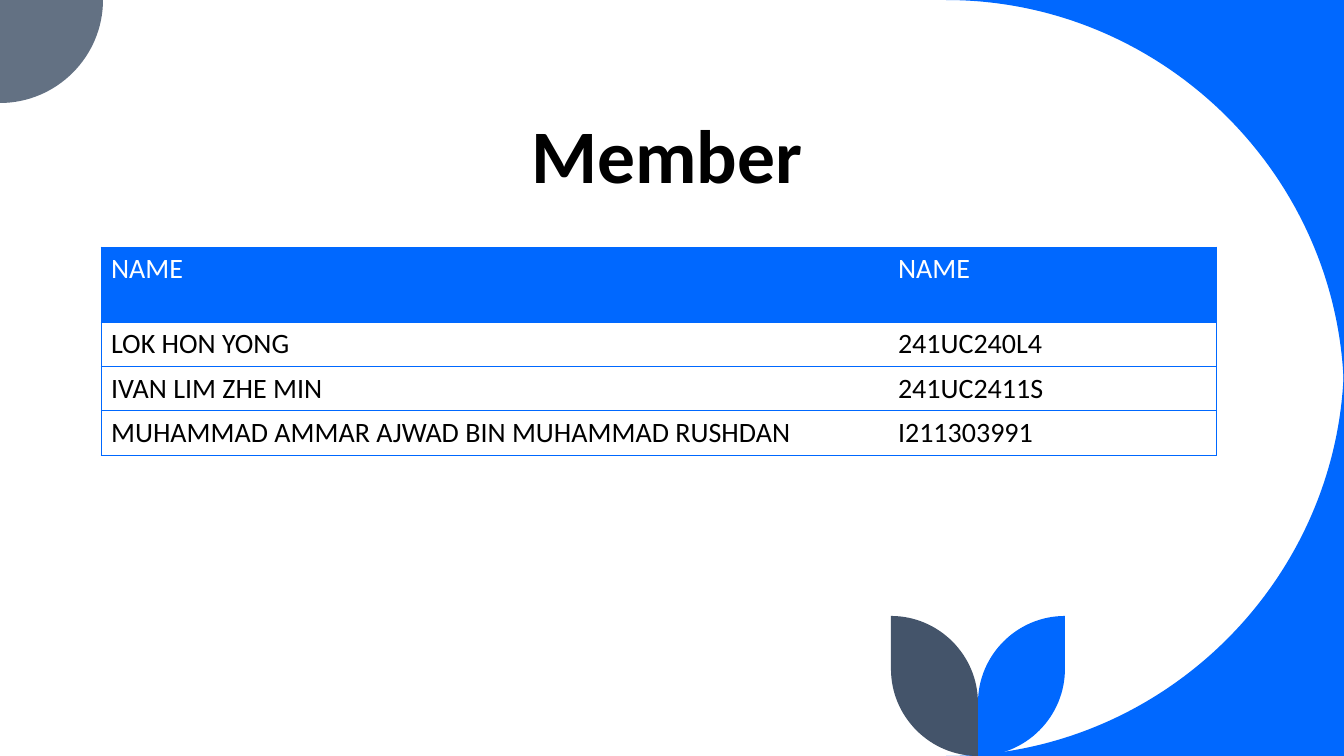
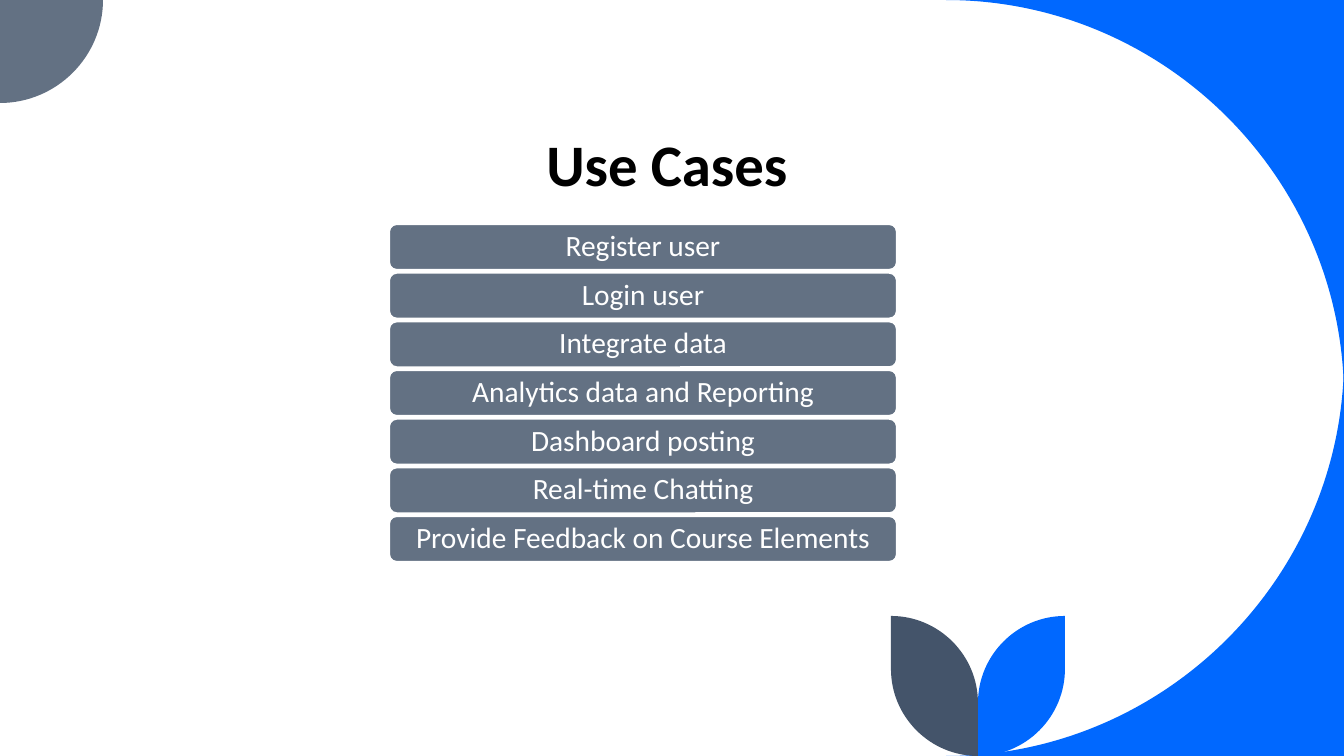
from typing import NamedTuple

from lxml.etree import SubElement
from pptx import Presentation
from pptx.dml.color import RGBColor
from pptx.enum.shapes import MSO_SHAPE
from pptx.enum.text import MSO_ANCHOR, MSO_AUTO_SIZE, PP_ALIGN
from pptx.oxml.ns import qn
from pptx.util import Emu, Pt

# Shared look
BLUE = RGBColor(0x00, 0x68, 0xFF)
GREY = RGBColor(0x63, 0x71, 0x83)
SLATE = RGBColor(0x44, 0x54, 0x6A)
BLACK = RGBColor(0x00, 0x00, 0x00)
WHITE = RGBColor(0xFF, 0xFF, 0xFF)
FONT = "Calibri"
SLIDE_W, SLIDE_H = 1344, 756
TITLE_ONLY = 5
NO_STYLE_NO_GRID = "{2D5ABB26-0587-4C30-8999-92F81FD0307C}"
QUARTER_CIRCLE = 0.55  # control point distance as a share of the radius


class Box(NamedTuple):
    x: int
    y: int
    w: int
    h: int


class Step(NamedTuple):
    """A line to (x, y), or a quarter circle when its corner is given."""
    x: int
    y: int
    corner: tuple[int, int] | None = None


class Decoration(NamedTuple):
    steps: list[Step]
    color: RGBColor


# Slide content
TITLE_BOX = Box(128, 11, 1078, 192)

MEMBER_BOX = Box(101, 247, 1115, 207)
MEMBER_COLS = (787, 328)
MEMBER_ROWS = (75, 44, 44, 44)
MEMBERS = [
    ("NAME", "NAME"),
    ("LOK HON YONG", "241UC240L4"),
    ("IVAN LIM ZHE MIN", "241UC2411S"),
    ("MUHAMMAD AMMAR AJWAD BIN MUHAMMAD RUSHDAN", "I211303991"),
]

FIRST_CASE = Box(389, 224, 508, 46)
LAST_CASE_Y = 516
USE_CASES = [
    "Register user",
    "Login user",
    "Integrate data",
    "Analytics data and Reporting",
    "Dashboard posting",
    "Real-time Chatting",
    "Provide Feedback on Course Elements",
]


def px(n: float) -> Emu:
    return Emu(round(n * 12192000 / SLIDE_W))


def wedge(x: int, y: int, dx: int, dy: int, color: RGBColor) -> Decoration:
    """A slide corner cut off by a quarter circle that curves round it."""
    return Decoration([Step(x, y), Step(x + dx, y), Step(x, y + dy, (x, y))], color)


def leaf(stem: int, top: int, w: int, color: RGBColor) -> Decoration:
    """A leaf on the slide's bottom edge; a negative width points it left."""
    tip, r = stem + w, abs(w)
    return Decoration([
        Step(tip, top),
        Step(tip, SLIDE_H - r),
        Step(stem, SLIDE_H, (tip, SLIDE_H)),
        Step(stem, top + r),
        Step(tip, top, (stem, top)),
    ], color)


DECORATIONS = [
    wedge(SLIDE_W, 0, -398, 398, BLUE),
    wedge(SLIDE_W, SLIDE_H, -398, -398, BLUE),
    Decoration([Step(0, 0), Step(103, 0), Step(0, 103, (103, 103))], GREY),
    leaf(978, 616, 87, BLUE),
    leaf(978, 616, -87, SLATE),
]


def toward(start: Step, corner: tuple[int, int]) -> tuple[float, float]:
    return (start.x + (corner[0] - start.x) * QUARTER_CIRCLE,
            start.y + (corner[1] - start.y) * QUARTER_CIRCLE)


def add_decoration(slide, item: Decoration):
    # Lay out every point first, then join control points into curves
    first, *rest = item.steps
    points = []
    for prev, step in zip(item.steps, rest):
        if step.corner:
            points += [toward(prev, step.corner), toward(step, step.corner)]
        points.append((step.x, step.y))
    builder = slide.shapes.build_freeform(px(first.x), px(first.y), scale=1.0)
    builder.add_line_segments([(px(x), px(y)) for x, y in points], close=True)
    sp = builder.convert_to_shape()
    lines = iter(list(sp._element.iter(qn("a:lnTo"))))
    for step in rest:
        line = next(lines)
        if step.corner:
            curve = SubElement(line.getparent(), qn("a:cubicBezTo"))
            line.addprevious(curve)
            for part in (line, next(lines), next(lines)):
                curve.append(part[0])
                part.getparent().remove(part)
    sp.shadow.inherit = False
    sp.fill.solid()
    sp.fill.fore_color.rgb = item.color
    sp.line.fill.background()
    return sp


def decorate_layout(slide) -> None:
    """Draw the decorations and hand them to the layout the slides share."""
    tree = slide.slide_layout.shapes._spTree
    for i, item in enumerate(DECORATIONS):
        tree.insert(2 + i, add_decoration(slide, item)._element)


def add_text(p, text: str, size: int, color: RGBColor, bold: bool = False) -> None:
    r = p.add_run()
    r.text = text
    r.font.name = FONT
    r.font.size = Pt(size)
    r.font.bold = bold
    r.font.color.rgb = color


def add_slide(prs, title: str, size: int):
    slide = prs.slides.add_slide(prs.slide_layouts[TITLE_ONLY])
    sp = slide.shapes.title
    sp.left, sp.top, sp.width, sp.height = map(px, TITLE_BOX)
    tf = sp.text_frame
    tf.auto_size = MSO_AUTO_SIZE.NONE
    tf.word_wrap = True
    tf.vertical_anchor = MSO_ANCHOR.BOTTOM
    p = tf.paragraphs[0]
    p.alignment = PP_ALIGN.CENTER
    p.line_spacing = 0.8
    add_text(p, title, size, BLACK, bold=True)
    return slide


def set_borders(cell, sides: str) -> None:
    tc_pr = cell._tc.get_or_add_tcPr()
    for i, side in enumerate(sides):
        ln = SubElement(tc_pr, qn(f"a:ln{side}"), w=str(Pt(0.5)))
        fill = SubElement(ln, qn("a:solidFill"))
        SubElement(fill, qn("a:srgbClr"), val=str(BLUE))
        tc_pr.insert(i, ln)


def add_member_table(slide) -> None:
    table = slide.shapes.add_table(
        len(MEMBERS), len(MEMBER_COLS), *map(px, MEMBER_BOX)).table
    table.horz_banding = False
    table._tbl.tblPr.find(qn("a:tableStyleId")).text = NO_STYLE_NO_GRID
    for column, width in zip(table.columns, MEMBER_COLS):
        column.width = px(width)
    for row, height in zip(table.rows, MEMBER_ROWS):
        row.height = px(height)
    for i, member in enumerate(MEMBERS):
        for j, text in enumerate(member):
            cell = table.cell(i, j)
            if i == 0:
                cell.fill.solid()
                cell.fill.fore_color.rgb = BLUE
            else:
                cell.fill.background()
            set_borders(cell, "LTB" if j == 0 else "RTB")
            add_text(cell.text_frame.paragraphs[0], text, 20,
                     WHITE if i == 0 else BLACK)


def add_use_case(slide, text: str, box: Box) -> None:
    sp = slide.shapes.add_shape(MSO_SHAPE.ROUNDED_RECTANGLE, *map(px, box))
    sp.shadow.inherit = False
    sp.fill.solid()
    sp.fill.fore_color.rgb = GREY
    sp.line.color.rgb = WHITE
    sp.line.width = Pt(1.5)
    tf = sp.text_frame
    tf.word_wrap = True
    tf.vertical_anchor = MSO_ANCHOR.MIDDLE
    tf.margin_left = tf.margin_right = px(9)
    tf.margin_top = tf.margin_bottom = px(4)
    p = tf.paragraphs[0]
    p.alignment = PP_ALIGN.CENTER
    p.line_spacing = 0.9
    add_text(p, text, 21, WHITE)


def main() -> None:
    prs = Presentation()
    prs.slide_width, prs.slide_height = px(SLIDE_W), px(SLIDE_H)

    # Members
    slide = add_slide(prs, "Member", 54)
    decorate_layout(slide)
    add_member_table(slide)

    # Use cases, evenly spread from first to last
    slide = add_slide(prs, "Use Cases", 42)
    pitch = (LAST_CASE_Y - FIRST_CASE.y) / (len(USE_CASES) - 1)
    for i, text in enumerate(USE_CASES):
        y = FIRST_CASE.y + i * pitch
        add_use_case(slide, text, FIRST_CASE._replace(y=y))

    prs.save("out.pptx")


if __name__ == "__main__":
    main()
